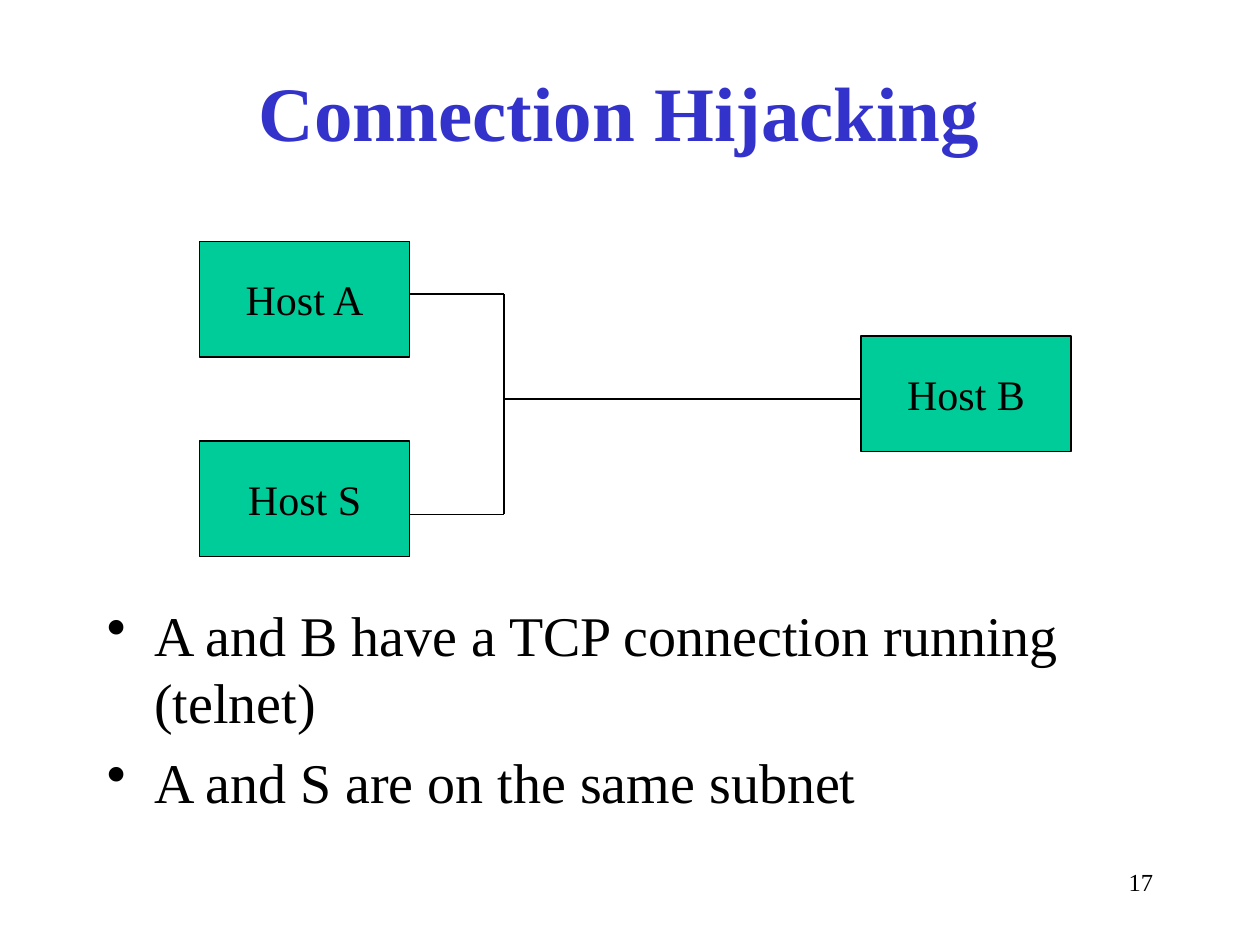
from dataclasses import dataclass

from lxml import etree
from pptx import Presentation
from pptx.dml.color import RGBColor
from pptx.enum.shapes import MSO_CONNECTOR, MSO_SHAPE
from pptx.enum.text import MSO_ANCHOR, PP_ALIGN
from pptx.oxml.ns import qn
from pptx.util import Emu, Pt

STRAIGHT = MSO_CONNECTOR.STRAIGHT
RECTANGLE = MSO_SHAPE.RECTANGLE
TOP, MIDDLE = MSO_ANCHOR.TOP, MSO_ANCHOR.MIDDLE
LEFT, CENTER, RIGHT = PP_ALIGN.LEFT, PP_ALIGN.CENTER, PP_ALIGN.RIGHT
EMU_PER_PX = 7620


@dataclass(frozen=True)
class Theme:
    """Colours, font and type sizes of the deck."""
    ink: RGBColor = RGBColor(0, 0, 0)
    title_ink: RGBColor = RGBColor(0x33, 0x33, 0xCC)
    host_fill: RGBColor = RGBColor(0x00, 0xCC, 0x99)
    font: str = "Times New Roman"
    title_size: int = 44
    body_size: int = 32
    host_size: int = 24
    number_size: int = 14
    line_width: float = 0.75


THEME = Theme()


def px(length):
    """Turn whole px into EMU."""
    return Emu(length * EMU_PER_PX)


def add_span(para, text, size, color=THEME.ink, bold=False):
    """Add one styled run to a paragraph."""
    span = para.add_run()
    span.text = text
    span.font.name = THEME.font
    span.font.size = Pt(size)
    span.font.bold = bold
    span.font.color.rgb = color


def add_text_frame(page, box, anchor=TOP):
    """Place a wrapping text box and return its text frame."""
    frame = page.shapes.add_textbox(*map(px, box)).text_frame
    frame.word_wrap = True
    frame.vertical_anchor = anchor
    return frame


def add_label(page, box, text, size, align, anchor=TOP, **style):
    """Place a single line of text in the box."""
    para = add_text_frame(page, box, anchor).paragraphs[0]
    para.alignment = align
    add_span(para, text, size, **style)


def add_bullets(page, box, items, indent=45):
    """Place a bulleted list in the box."""
    frame = add_text_frame(page, box)
    for index, item in enumerate(items):
        para = frame.add_paragraph() if index else frame.paragraphs[0]
        para.alignment = LEFT
        para.space_before = Pt(7)
        add_span(para, item, THEME.body_size)
        properties = para._p.get_or_add_pPr()
        properties.set("marL", str(px(indent)))
        properties.set("indent", str(-px(indent)))
        etree.SubElement(properties, qn("a:buChar")).set("char", "•")


def add_host(page, box, name):
    """Draw one named host."""
    host = page.shapes.add_shape(RECTANGLE, *map(px, box))
    host.shadow.inherit = False
    host.fill.solid()
    host.fill.fore_color.rgb = THEME.host_fill
    host.line.color.rgb = THEME.ink
    host.line.width = Pt(THEME.line_width)
    frame = host.text_frame
    frame.word_wrap = False
    frame.vertical_anchor = MIDDLE
    para = frame.paragraphs[0]
    para.alignment = CENTER
    add_span(para, name, THEME.host_size)


def add_wire(page, start, end):
    """Draw a straight network wire."""
    wire = page.shapes.add_connector(STRAIGHT, *map(px, start + end))
    wire.line.color.rgb = THEME.ink
    wire.line.width = Pt(THEME.line_width)
    etree.SubElement(wire._element.spPr, qn("a:effectLst"))


def add_network(page, box):
    """Draw the three hosts and the wires between them within the box."""
    left, top, width, height = box
    host_width, host_height = 200, 110
    right_host = left + width - host_width
    hosts = (
        ("Host A", left, top),
        ("Host S", left, top + height - host_height),
        ("Host B", right_host, top + 90),
    )
    for name, x, y in hosts:
        add_host(page, (x, y, host_width, host_height), name)

    left_port = left + host_width
    bus = left_port + 90
    upper, trunk, lower = top + 50, top + 150, top + 260
    wires = (
        ((left_port, upper), (bus, upper)),
        ((bus, upper), (bus, lower)),
        ((bus, lower), (left_port, lower)),
        ((bus, trunk), (right_host, trunk)),
    )
    for start, end in wires:
        add_wire(page, start, end)


def main():
    """Build and save the deck."""
    deck = Presentation()
    deck.slide_width, deck.slide_height = px(1200), px(900)
    page = deck.slides.add_slide(deck.slide_layouts[6])
    add_label(page, (80, 30, 1020, 150), "Connection Hijacking", THEME.title_size,
              CENTER, MIDDLE, color=THEME.title_ink, bold=True)
    add_network(page, (190, 230, 830, 300))
    add_bullets(page, (90, 566, 1020, 234), (
        "A and B have a TCP connection running (telnet)",
        "A and S are on the same subnet",
    ))
    add_label(page, (860, 820, 250, 60), "17", THEME.number_size, RIGHT)
    deck.save("out.pptx")


if __name__ == "__main__":
    main()
